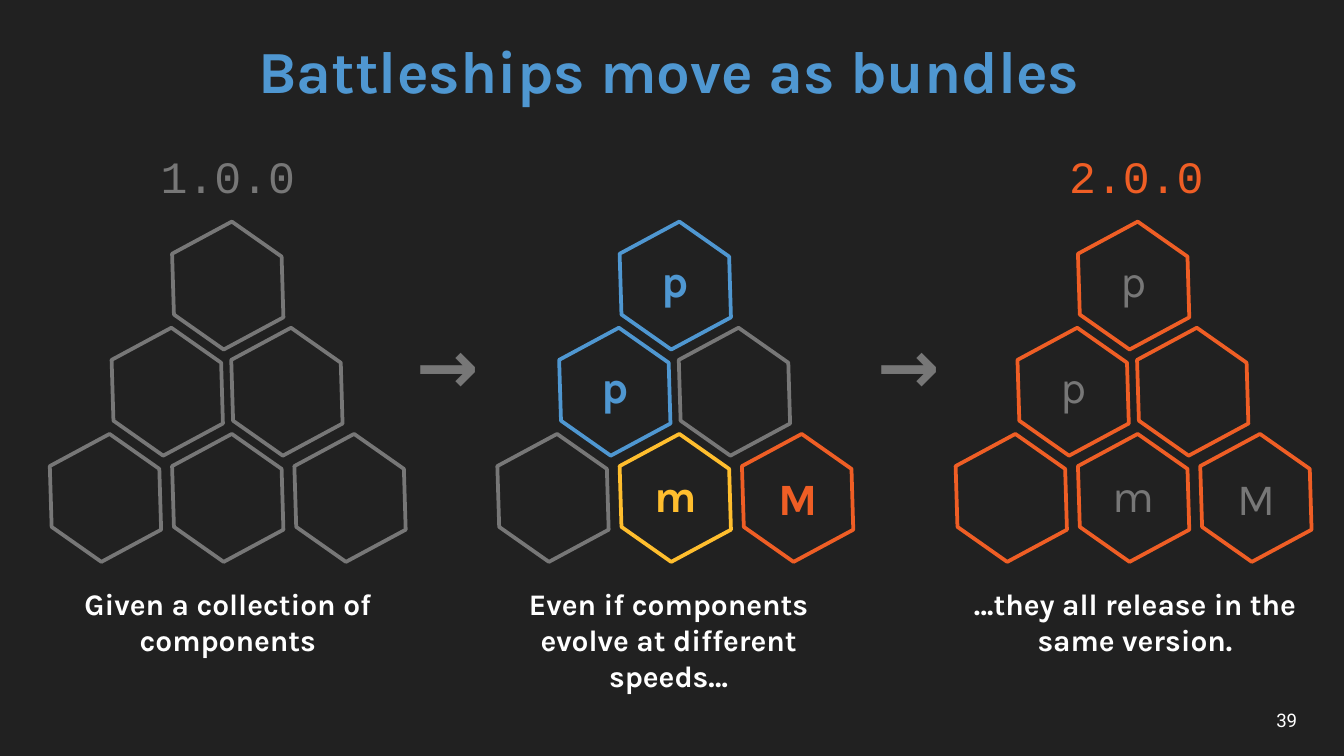
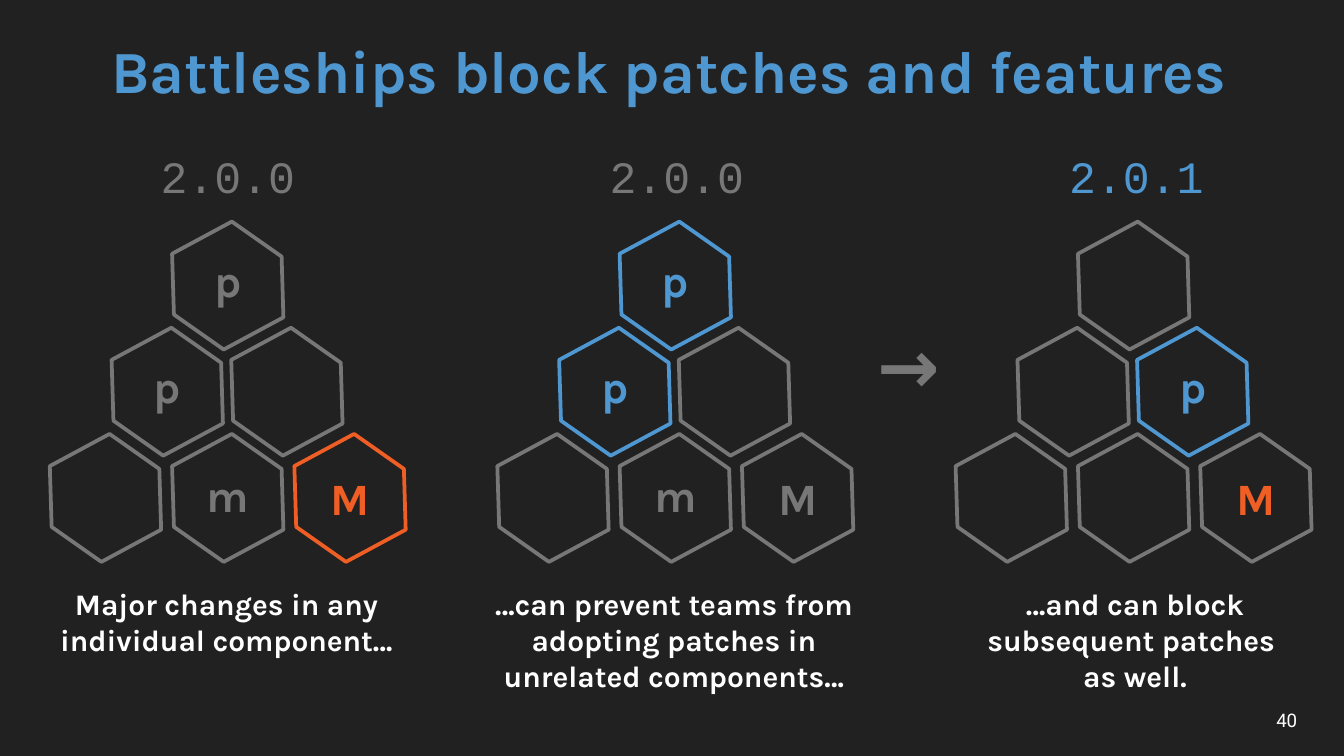
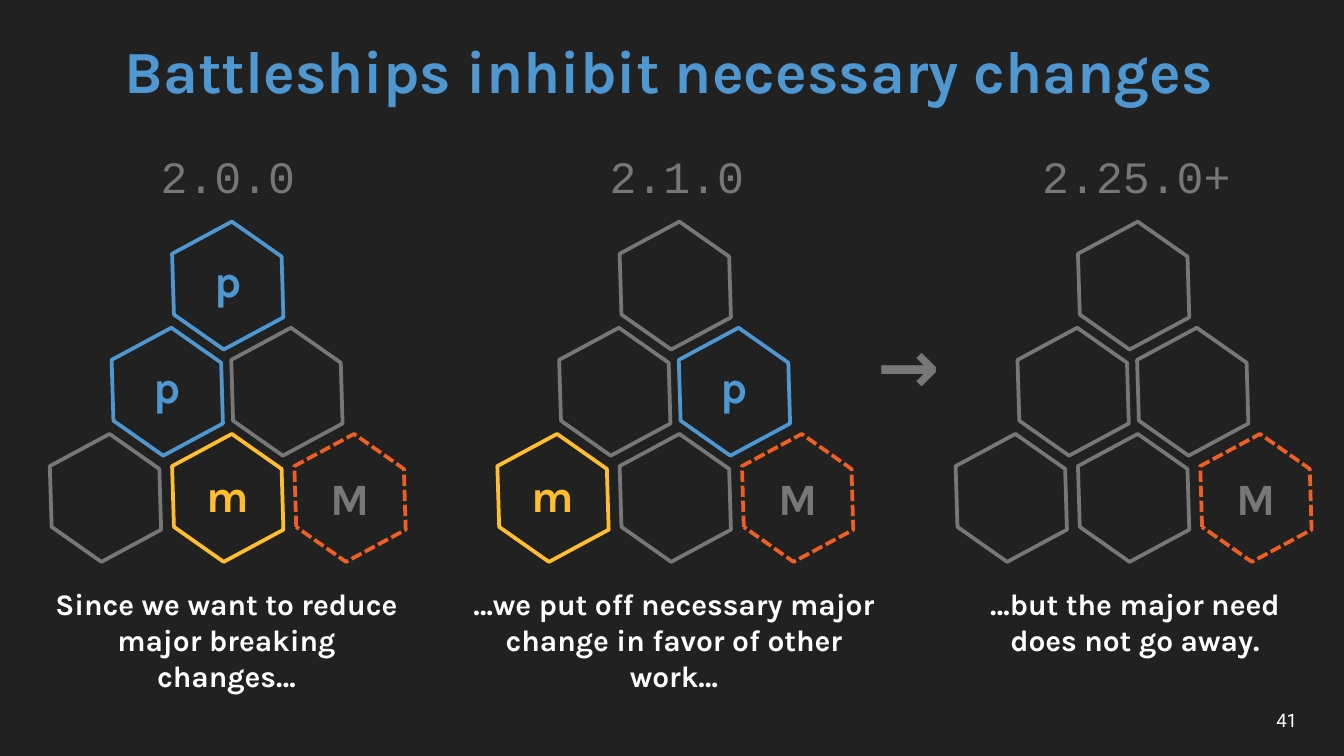
from collections import namedtuple

from pptx import Presentation
from pptx.dml.color import RGBColor
from pptx.enum.dml import MSO_LINE
from pptx.enum.shapes import MSO_SHAPE
from pptx.enum.text import MSO_ANCHOR, MSO_AUTO_SIZE, PP_ALIGN
from pptx.util import Inches, Pt

# Slide size: 16:9
SLIDE_WIDTH = Inches(10)
SLIDE_HEIGHT = SLIDE_WIDTH * 9 // 16

# Colours
DARK = RGBColor(0x21, 0x21, 0x21)
WHITE = RGBColor(0xFF, 0xFF, 0xFF)
GREY = RGBColor(0x77, 0x77, 0x77)
BLUE = RGBColor(0x4F, 0x97, 0xD1)
YELLOW = RGBColor(0xFF, 0xBE, 0x2E)
ORANGE = RGBColor(0xEF, 0x5E, 0x25)

# Text styles
TITLE = {"name": "Karla", "size": Pt(32), "bold": True}
ARROW = {"name": "Karla", "size": Pt(40), "bold": True}
VERSION = {"name": "Courier New", "size": Pt(24), "bold": False}
LETTER = {"name": "Karla", "size": Pt(24), "bold": True}
LIGHT_LETTER = {**LETTER, "bold": False}
CAPTION = {"name": "Karla", "size": Pt(16), "bold": True}
PAGE_NUMBER = {"name": "Roboto", "size": Pt(10), "bold": False}

# Frame and paragraph formats
GROWING = {"auto_size": MSO_AUTO_SIZE.SHAPE_TO_FIT_TEXT}
MIDDLE = {"vertical_anchor": MSO_ANCHOR.MIDDLE,
          "margin_top": Inches(0.1), "margin_bottom": Inches(0.1)}
CENTRED = {"alignment": PP_ALIGN.CENTER}
TIGHT = {"alignment": PP_ALIGN.CENTER, "line_spacing": 0.95}
RIGHT = {"alignment": PP_ALIGN.RIGHT}

# Pyramid geometry, in inches
HEX_WIDTH, HEX_HEIGHT, HEX_ROTATION = 0.91, 0.81, 331.7
PYRAMID_TOP, ROW_PITCH = 1.72, 0.79
PYRAMID_LEFTS = (0.33, 3.66, 7.07)
VERSION_LEFTS = (0.3, 3.64, 7.06)
COLUMN_WIDTH = 2.79
ARROW_LEFTS = (2.88, 6.31)
LETTER_DROP = {"p": 0.11, "m": 0.13, "M": 0.15}
ROW_OFFSETS = [(0.91,), (0.46, 1.35), (0, 0.91, 1.82)]
SLOTS = [(offset, PYRAMID_TOP + ROW_PITCH * row)
         for row, offsets in enumerate(ROW_OFFSETS) for offset in offsets]

# One component of a pyramid, and one column of a slide
Component = namedtuple("Component", "outline letter colour style dashed",
                       defaults=(GREY, "", GREY, LETTER, False))
Column = namedtuple(
    "Column", "version version_colour components caption lines left width",
    defaults=(COLUMN_WIDTH,))

IDLE = Component()
PATCH = Component(BLUE, "p", BLUE)
MINOR = Component(YELLOW, "m", YELLOW)
MAJOR = Component(ORANGE, "M", ORANGE)
OLD_PATCH, OLD_MINOR, OLD_MAJOR = (Component(GREY, name) for name in "pmM")
RELEASED = Component(ORANGE)
RELEASED_PATCH, RELEASED_MINOR, RELEASED_MAJOR = (
    Component(ORANGE, name, GREY, LIGHT_LETTER) for name in "pmM")
POSTPONED = Component(ORANGE, "M", dashed=True)
PENDING_MAJOR = Component(GREY, "M", ORANGE)

# Each slide: title, title left and width, page number, arrows, columns
SLIDES = [
    ("Battleships move as bundles", 0.72, 8.52, "39", ARROW_LEFTS, [
        Column("1.0.0", GREY, [IDLE] * 6,
               "Given a collection of components", 2, 0.3),
        Column("", GREY, [PATCH, PATCH, IDLE, IDLE, MINOR, MAJOR],
               "Even if components evolve at different speeds…", 3, 3.58),
        Column("2.0.0", ORANGE,
               [RELEASED_PATCH, RELEASED_PATCH, RELEASED,
                RELEASED, RELEASED_MINOR, RELEASED_MAJOR],
               "…they all release in the same version.", 2, 7.05),
    ]),
    ("Battleships block patches and features", 0.29, 9.38, "40", ARROW_LEFTS[1:], [
        Column("2.0.0", GREY,
               [OLD_PATCH, OLD_PATCH, IDLE, IDLE, OLD_MINOR, MAJOR],
               "Major changes in any individual component…", 2, 0.29),
        Column("2.0.0", GREY, [PATCH, PATCH, IDLE, IDLE, OLD_MINOR, OLD_MAJOR],
               "…can prevent teams from adopting patches in unrelated components…",
               3, 3.33, 3.37),
        Column("2.0.1", BLUE, [IDLE, IDLE, PATCH, IDLE, IDLE, PENDING_MAJOR],
               "…and can block subsequent patches \vas well.", 3, 7.05),
    ]),
    ("Battleships inhibit necessary changes", 0.29, 9.38, "41", ARROW_LEFTS[1:], [
        Column("2.0.0", GREY, [PATCH, PATCH, IDLE, IDLE, MINOR, POSTPONED],
               "Since we want to reduce major breaking changes…", 3, 0.29),
        Column("2.1.0", GREY, [IDLE, IDLE, PATCH, MINOR, IDLE, POSTPONED],
               "…we put off necessary major change in favor of other work…",
               3, 3.33, 3.37),
        Column("2.25.0+", GREY, [IDLE] * 5 + [POSTPONED],
               "…but the major need does not go away.", 2, 7.05),
    ]),
]


def apply(target, values):
    for name, value in values.items():
        setattr(target, name, value)


def add_text(shapes, text, box, style, colour, frame_format=GROWING, layout=CENTRED):
    frame = shapes.add_textbox(*map(Inches, box)).text_frame
    frame.word_wrap = True
    apply(frame, frame_format)
    paragraph = frame.paragraphs[0]
    paragraph.text = text
    apply(paragraph, layout)
    for run in paragraph.runs:
        apply(run.font, style)
        run.font.color.rgb = colour


def add_component(shapes, component, left, top):
    """A tilted hexagon, with its change letter if it has one."""
    box = map(Inches, (left, top, HEX_WIDTH, HEX_HEIGHT))
    hexagon = shapes.add_shape(MSO_SHAPE.HEXAGON, *box)
    hexagon.rotation = HEX_ROTATION
    hexagon.shadow.inherit = False
    hexagon.fill.background()
    hexagon.line.color.rgb = component.outline
    hexagon.line.width = Pt(2)
    if component.dashed:
        hexagon.line.dash_style = MSO_LINE.SQUARE_DOT
    if component.letter:
        letter_top = top + LETTER_DROP[component.letter]
        add_text(shapes, component.letter, (left + 0.2, letter_top, 0.51, 0.5),
                 component.style, component.colour)


def add_pyramid(shapes, components, left):
    pyramid = shapes.add_group_shape().shapes
    for (offset, top), component in zip(SLOTS, components):
        add_component(pyramid, component, left + offset, top)


def add_column(shapes, column, pyramid_left, version_left):
    add_pyramid(shapes, column.components, pyramid_left)
    if column.version:
        add_text(shapes, column.version, (version_left, 1.06, COLUMN_WIDTH, 0.5),
                 VERSION, column.version_colour)
    add_text(shapes, column.caption,
             (column.left, 4.31, column.width, 0.12 + 0.26 * column.lines),
             CAPTION, WHITE)


def add_slide(prs, title, title_left, title_width, number, arrow_lefts, columns):
    shapes = prs.slides.add_slide(prs.slide_layouts[6]).shapes
    add_text(shapes, title, (title_left, 0.25, title_width, 0.59),
             TITLE, BLUE, MIDDLE, TIGHT)
    for column, pyramid_left, version_left in zip(columns, PYRAMID_LEFTS, VERSION_LEFTS):
        add_column(shapes, column, pyramid_left, version_left)
    for left in arrow_lefts:
        add_text(shapes, "→", (left, 2.44, 0.91, 0.59), ARROW, GREY, MIDDLE, TIGHT)
    add_text(shapes, number, (7.5, 5.21, 2.25, 0.3), PAGE_NUMBER, WHITE, MIDDLE, RIGHT)


def main():
    prs = Presentation()
    prs.slide_width, prs.slide_height = SLIDE_WIDTH, SLIDE_HEIGHT
    # Background shared by every slide
    backdrop = prs.slide_master.background.fill
    backdrop.solid()
    backdrop.fore_color.rgb = DARK
    for content in SLIDES:
        add_slide(prs, *content)
    prs.save("out.pptx")


if __name__ == "__main__":
    main()
